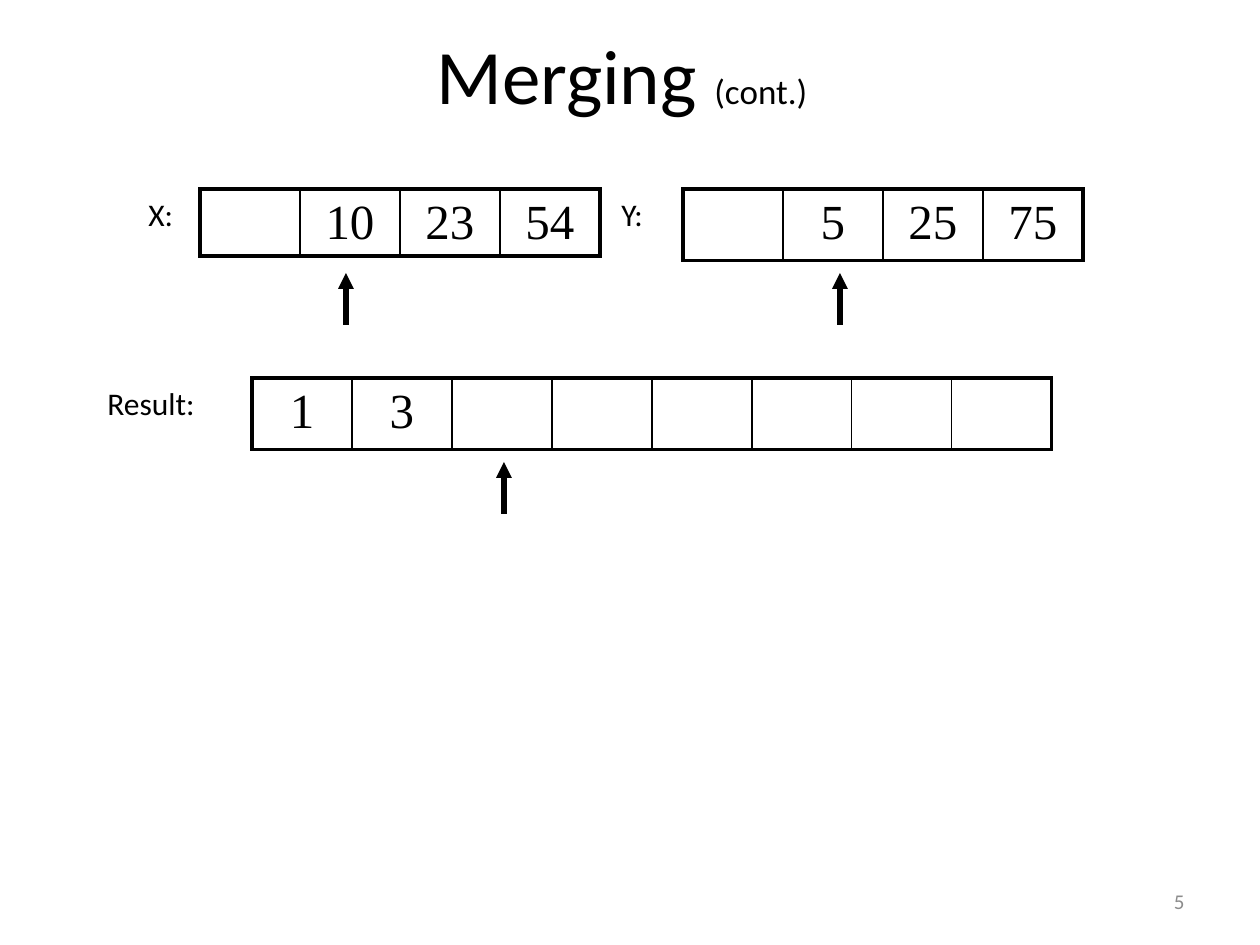
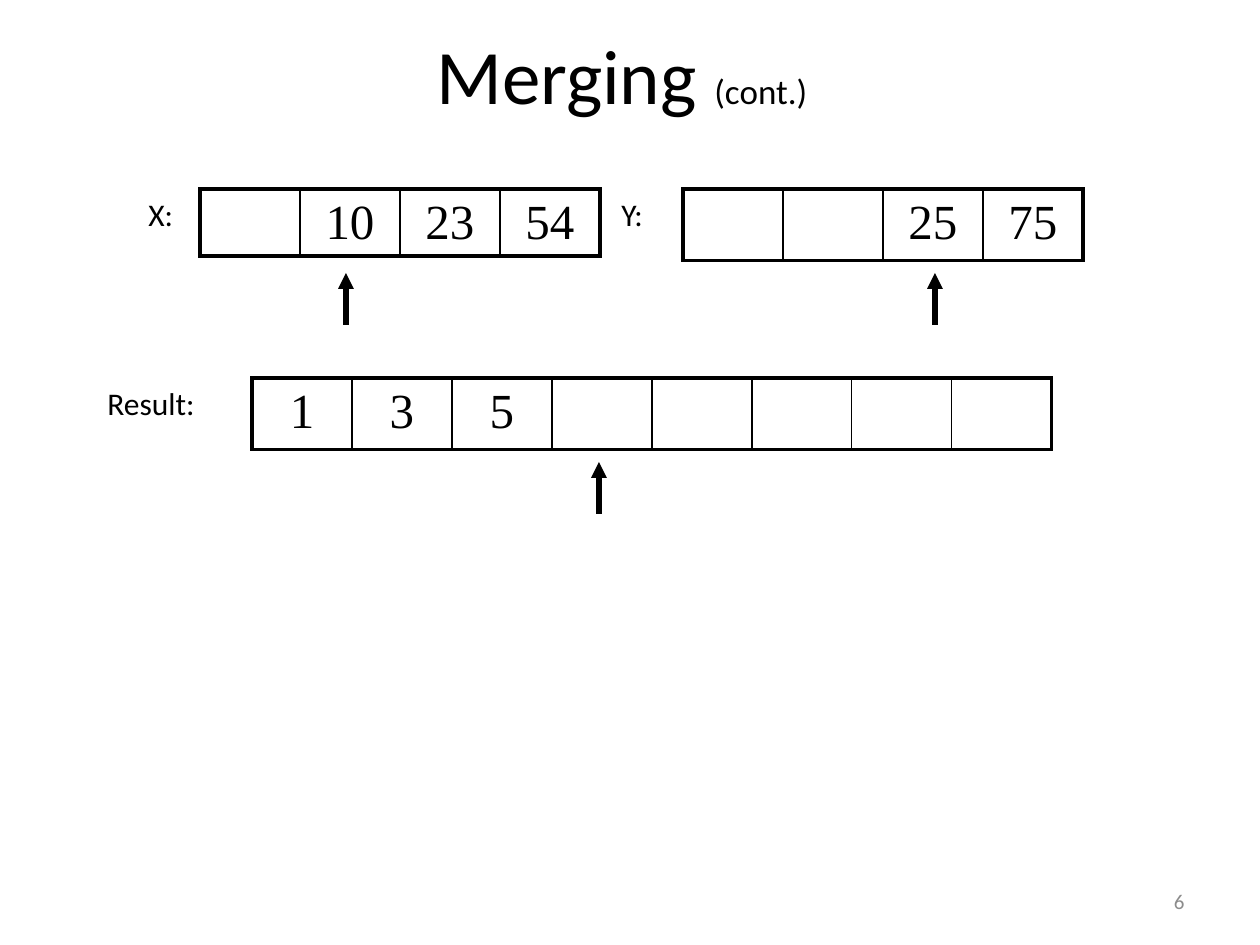
"""Two steps of merging the sorted arrays X and Y into a result array."""
from dataclasses import dataclass

import lxml.etree
import pptx
import pptx.dml.color
import pptx.enum.shapes
import pptx.enum.text
import pptx.oxml.ns
import pptx.util

SCALE = 914400 // 126  # EMU in one pixel
ALIGN = pptx.enum.text.PP_ALIGN
ANCHOR = pptx.enum.text.MSO_ANCHOR
qn = pptx.oxml.ns.qn


@dataclass(frozen=True)
class Theme:
    """Colours, fonts, type sizes and line widths in points."""
    ink: str = "000000"
    muted: str = "8C8C8C"
    font: str = "Calibri"
    number_font: str = "Times New Roman"
    title: int = 44
    subtitle: int = 20
    number: int = 28
    label: int = 18
    footer: int = 12
    outer_line: float = 2.25
    inner_line: float = 1
    arrow_line: float = 3


@dataclass(frozen=True)
class Row:
    """Fixed geometry of one array: its box, label and first pointer."""
    label: str
    label_left: int
    label_width: int
    left: int
    top: int
    height: int
    first_pointer: int


THEME = Theme()
CELL_WIDTH = 100
POINTER_STEP = 95
ROWS = (
    Row("X:", 136, 73, 200, 189, 59, 51),
    Row("Y:", 609, 73, 683, 189, 59, 62),
    Row("Result:", 95, 147, 252, 378, 70, 62),
)
# Each step: page number, then cell values and pointer index for every row
STEPS = (
    (5, ((["", "10", "23", "54"], 1),
         (["", "5", "25", "75"], 1),
         (["1", "3"] + [""] * 6, 2))),
    (6, ((["", "10", "23", "54"], 1),
         (["", "", "25", "75"], 2),
         (["1", "3", "5"] + [""] * 5, 3))),
)


def px(*lengths):
    """Turn pixels into EMU."""
    return [pptx.util.Emu(round(length * SCALE)) for length in lengths]


def style(font, size, name=THEME.font, colour=THEME.ink):
    """Set size, typeface and colour of a font."""
    font.size = pptx.util.Pt(size)
    font.name = name
    font.color.rgb = pptx.dml.color.RGBColor.from_string(colour)


def space_before(para, percent):
    """Set the space before a paragraph as a share of its line."""
    properties = para._p.get_or_add_pPr()
    space = lxml.etree.Element(qn("a:spcBef"))
    lxml.etree.SubElement(space, qn("a:spcPct"), val=str(percent * 1000))
    properties.insert(0, space)


def add_title(page, box):
    """Place the title, with its small continuation mark."""
    title = page.shapes.title
    title.left, title.top, title.width, title.height = px(*box)
    frame = title.text_frame
    frame.vertical_anchor = ANCHOR.MIDDLE
    para = frame.paragraphs[0]
    para.alignment = ALIGN.CENTER
    for text, size in (("Merging ", THEME.title), ("(cont.)", THEME.subtitle),
                       (" ", THEME.title)):
        span = para.add_run()
        span.text = text
        style(span.font, size)


def add_text(page, box, text, size, colour=THEME.ink):
    """Place a one-line text box and return its frame."""
    frame = page.shapes.add_textbox(*px(*box)).text_frame
    frame.word_wrap = True
    para = frame.paragraphs[0]
    para.text = text
    style(para.font, size, colour=colour)
    return frame


def add_label(page, box, text):
    """Name an array at its left."""
    frame = add_text(page, box, text, THEME.label)
    frame.auto_size = pptx.enum.text.MSO_AUTO_SIZE.SHAPE_TO_FIT_TEXT
    space_before(frame.paragraphs[0], 50)


def add_page_number(page, box, number):
    """Place the page number at the foot."""
    frame = add_text(page, box, str(number), THEME.footer, THEME.muted)
    frame.vertical_anchor = ANCHOR.MIDDLE
    frame.paragraphs[0].alignment = ALIGN.RIGHT


def set_borders(cell, first, last):
    """Draw thick lines round the array and thin ones between cells."""
    thick, thin = THEME.outer_line, THEME.inner_line
    widths = {"L": thick if first else thin, "R": thick if last else thin,
              "T": thick, "B": thick}
    properties = cell._tc.get_or_add_tcPr()
    for side, width in widths.items():
        line = lxml.etree.SubElement(properties, qn("a:ln" + side),
                                     w=str(pptx.util.Pt(width)))
        fill = lxml.etree.SubElement(line, qn("a:solidFill"))
        lxml.etree.SubElement(fill, qn("a:srgbClr"), val=THEME.ink)


def add_array(page, left, top, height, values):
    """Draw an array as a table of one row."""
    count = len(values)
    box = px(left, top, count * CELL_WIDTH, height)
    table = page.shapes.add_table(1, count, *box).table
    table.first_row = table.horz_banding = False
    for index, value in enumerate(values):
        cell = table.cell(0, index)
        set_borders(cell, index == 0, index == count - 1)
        cell.fill.background()
        para = cell.text_frame.paragraphs[0]
        para.text = value
        para.alignment = ALIGN.CENTER
        style(para.font, THEME.number, THEME.number_font)
        space_before(para, 20)


def add_pointer(page, x, top, height):
    """Draw an arrow that points up at a cell."""
    arrow = page.shapes.add_connector(
        pptx.enum.shapes.MSO_CONNECTOR.STRAIGHT, *px(x, top + height, x, top))
    arrow.line.width = pptx.util.Pt(THEME.arrow_line)
    arrow.line.color.rgb = pptx.dml.color.RGBColor.from_string(THEME.ink)
    lxml.etree.SubElement(arrow.line._get_or_add_ln(), qn("a:tailEnd"),
                          type="triangle")
    lxml.etree.SubElement(arrow._element.spPr, qn("a:effectLst"))


def add_row(page, row, values, pointer):
    """Place an array with its label and pointer."""
    add_array(page, row.left, row.top, row.height, values)
    add_label(page, (row.label_left, row.top, row.label_width, 63), row.label)
    x = row.left + row.first_pointer + pointer * POINTER_STEP
    add_pointer(page, x, row.top + 84, 52)


def add_step(deck, number, states):
    """Build one page of the merge."""
    page = deck.slides.add_slide(deck.slide_layouts[5])
    add_title(page, (95, 21, 1071, 105))
    for row, (values, pointer) in zip(ROWS, states):
        add_row(page, row, values, pointer)
    add_page_number(page, (903, 876, 294, 50), number)


def main():
    """Build and save the deck."""
    deck = pptx.Presentation()
    deck.slide_width, deck.slide_height = px(1260, 945)
    for number, states in STEPS:
        add_step(deck, number, states)
    deck.save("out.pptx")


main()
